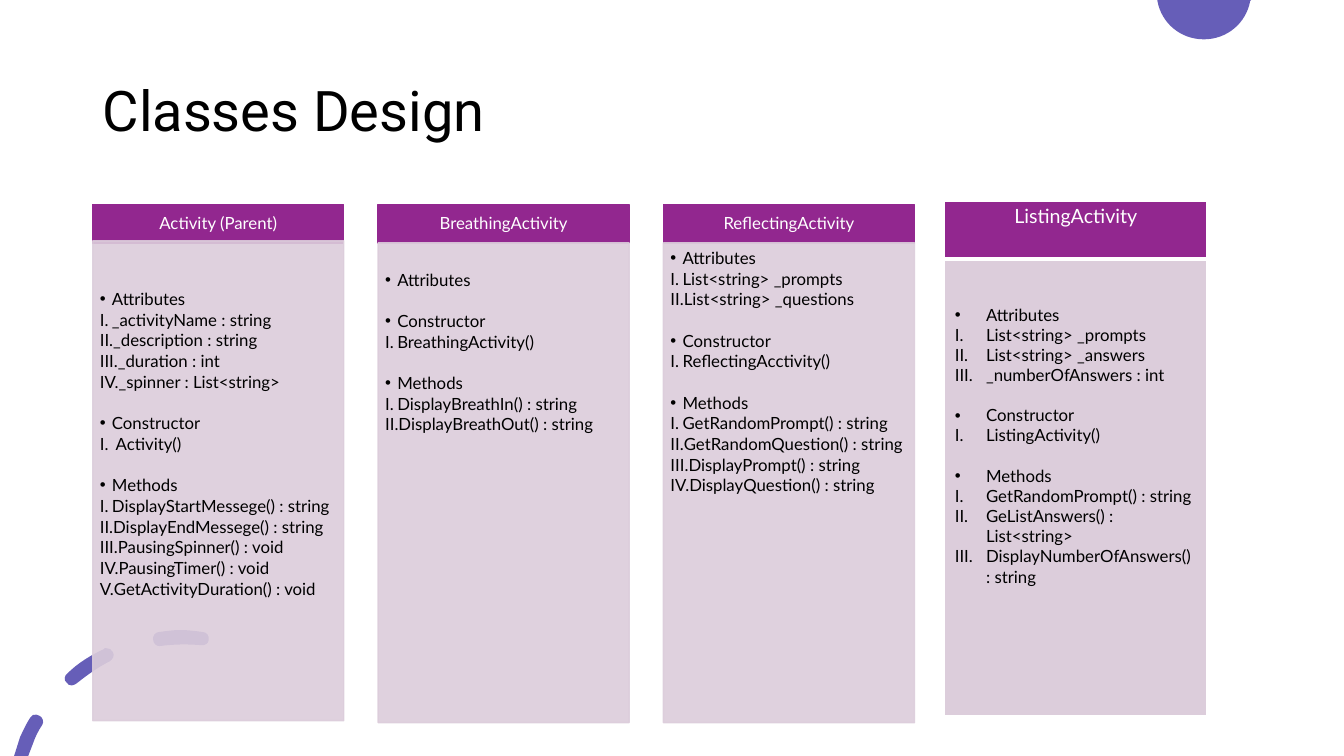
from dataclasses import dataclass
from typing import Any

from lxml.etree import SubElement
from pptx import Presentation
from pptx.dml.color import RGBColor
from pptx.enum.shapes import MSO_SHAPE
from pptx.enum.text import MSO_ANCHOR, PP_ALIGN
from pptx.oxml.ns import qn
from pptx.util import Inches, Pt

COLORS = {"accent": "665EB8", "header": "92278F", "body": "DCCDDB",
          "white": "FFFFFF", "black": "000000"}
CARD_LEFTS, CARD_WIDTH = (0.92, 3.75, 6.58), 2.49
CARD_LINE, TABLE_LINE = 14.76, 14.4  # line pitch in points
CARD_TOP_LINE = 15.4

Point = tuple[float, float]


@dataclass
class Section:
    heading: str
    members: list[str]


@dataclass
class ClassCard:
    name: str
    sections: list[Section]
    body_top: float = 2.41
    lines_above: int = 0


@dataclass
class Outline:
    """Start point, then segments: one point is a line, three are a cubic curve."""
    start: Point
    segments: list[list[Point]]


CARDS = [
    ClassCard("Activity (Parent)", [
        Section("Attributes", ["_activityName : string", "_description : string",
                               "_duration : int", "_spinner : List<string>"]),
        Section("Constructor", [" Activity()"]),
        Section("Methods", ["DisplayStartMessege() : string", "DisplayEndMessege() : string",
                            "PausingSpinner() : void", "PausingTimer() : void",
                            "GetActivityDuration() : void"]),
    ], body_top=2.39, lines_above=2),
    ClassCard("BreathingActivity", [
        Section("Attributes", []),
        Section("Constructor", ["BreathingActivity()"]),
        Section("Methods", ["DisplayBreathIn() : string", "DisplayBreathOut() : string"]),
    ], lines_above=1),
    ClassCard("ReflectingActivity", [
        Section("Attributes", ["List<string> _prompts", "List<string> _questions"]),
        Section("Constructor", ["ReflectingAcctivity()"]),
        Section("Methods", ["GetRandomPrompt() : string", "GetRandomQuestion() : string",
                            "DisplayPrompt() : string", "DisplayQuestion() : string"]),
    ]),
]
LISTING = ClassCard("ListingActivity", [
    Section("Attributes", ["List<string> _prompts", "List<string> _answers",
                           "_numberOfAnswers : int"]),
    Section("Constructor", ["ListingActivity()"]),
    Section("Methods", ["GetRandomPrompt() : string", "GeListAnswers() : List<string>",
                        "DisplayNumberOfAnswers() : string"]),
], lines_above=2)

CORNER_DISC = [Outline((11.48, 0), [
    [(12.41, 0)], [(12.4, 0.01)],
    [(12.36, 0.23), (12.17, 0.39), (11.94, 0.39)],
    [(11.71, 0.39), (11.52, 0.23), (11.48, 0.01)]])]
DASHED_ARC = [
    Outline((0.36, 7.09), [
        [(0.34, 7.08), (0.31, 7.1), (0.3, 7.12)], [(0.26, 7.18), (0.23, 7.25), (0.2, 7.31)],
        [(0.14, 7.5)], [(0.28, 7.5)], [(0.33, 7.37)],
        [(0.35, 7.31), (0.38, 7.25), (0.42, 7.19)], [(0.44, 7.16), (0.42, 7.11), (0.39, 7.1)],
        [(0.38, 7.09), (0.37, 7.09), (0.36, 7.09)]]),
    Outline((1.05, 6.43), [
        [(1.04, 6.43), (1.03, 6.43), (1.03, 6.44)], [(0.9, 6.5), (0.77, 6.58), (0.67, 6.68)],
        [(0.64, 6.7), (0.63, 6.75), (0.66, 6.77)], [(0.67, 6.79), (0.69, 6.8), (0.71, 6.8)],
        [(0.73, 6.8), (0.74, 6.79), (0.76, 6.78)], [(0.86, 6.7), (0.97, 6.62), (1.09, 6.56)],
        [(1.12, 6.54), (1.14, 6.5), (1.12, 6.47)], [(1.11, 6.44), (1.08, 6.43), (1.05, 6.43)]]),
    Outline((1.79, 6.25), [
        [(1.72, 6.25), (1.65, 6.26), (1.58, 6.27)], [(1.54, 6.27), (1.51, 6.31), (1.52, 6.35)],
        [(1.52, 6.38), (1.55, 6.41), (1.58, 6.41)], [(1.73, 6.39), (1.86, 6.39), (1.99, 6.4)],
        [(2.03, 6.41), (2.07, 6.38), (2.07, 6.35)], [(2.08, 6.31), (2.05, 6.27), (2.01, 6.27)],
        [(1.94, 6.26), (1.86, 6.25), (1.79, 6.25)]]),
]


def apply_format(target: Any, values: dict[str, Any]) -> None:
    for name, value in values.items():
        setattr(target, name, value)


def paint(fill: Any, color: str) -> None:
    fill.solid()
    fill.fore_color.rgb = RGBColor.from_string(COLORS[color])


def add_span(para: Any, text: str, size: float, color: str, font: str = "Lato") -> None:
    span = para.add_run()
    span.text = text
    apply_format(span.font, {"size": Pt(size), "name": font, "bold": False})
    span.font.color.rgb = RGBColor.from_string(COLORS[color])


def bend_segments(shape: Any, outlines: list[Outline]) -> None:
    """Turn the straight segments that have control points into cubic curves."""
    segments = [segment for outline in outlines for segment in outline.segments]
    lines = list(shape._element.iter(qn("a:lnTo")))
    for line, segment in zip(lines, segments, strict=True):
        if len(segment) == 3:
            curve = line.makeelement(qn("a:cubicBezTo"))
            for x, y in segment:
                SubElement(curve, qn("a:pt"), x=str(Inches(x) - shape.left),
                           y=str(Inches(y) - shape.top))
            line.getparent().replace(line, curve)


def add_ornament(page: Any, outlines: list[Outline]) -> None:
    builder = None
    for outline in outlines:
        x, y = map(Inches, outline.start)
        if builder is None:
            builder = page.shapes.build_freeform(x, y)
        else:
            builder.move_to(x, y)
        ends = [segment[-1] for segment in outline.segments]
        builder.add_line_segments([(Inches(px), Inches(py)) for px, py in ends],
                                  close=False)
    shape = builder.convert_to_shape()
    bend_segments(shape, outlines)
    shape.shadow.inherit = False
    paint(shape.fill, "accent")
    shape.line.fill.background()


def add_panel(page: Any, left: float, top: float, height: float, color: str,
              opacity: int = 100) -> Any:
    panel = page.shapes.add_shape(MSO_SHAPE.RECTANGLE, Inches(left), Inches(top),
                                  Inches(CARD_WIDTH), Inches(height))
    panel.shadow.inherit = False
    panel.line.width = Pt(1)
    for fill in (panel.fill, panel.line.fill):
        paint(fill, color)
    if opacity < 100:
        for tint in panel._element.spPr.iter(qn("a:srgbClr")):
            SubElement(tint, qn("a:alpha"), val=str(opacity * 1000))
    return panel


def write_name(para: Any, name: str, size: float) -> None:
    apply_format(para, {"alignment": PP_ALIGN.CENTER, "line_spacing": 0.9,
                        "space_after": Pt(0.35 * size)})
    add_span(para, name, size, "white")


def write_sections(frame: Any, sections: list[Section], indent: float, gap: float,
                   layout: dict[str, Any]) -> None:
    """List each heading with a bullet and its members with roman numerals."""
    para = None
    for index, section in enumerate(sections):
        for text in (section.heading, *section.members):
            para = frame.paragraphs[0] if para is None else frame.add_paragraph()
            is_heading = text == section.heading
            before = Pt(gap) if is_heading and index else Pt(0)
            apply_format(para, {"alignment": PP_ALIGN.LEFT, "space_before": before, **layout})
            properties = para._p.get_or_add_pPr()
            properties.set("marL", str(Inches(indent)))
            properties.set("indent", str(-Inches(indent)))
            if is_heading:
                SubElement(properties, qn("a:buFont"), typeface="Arial")
                SubElement(properties, qn("a:buChar"), char="•")
            else:
                SubElement(properties, qn("a:buAutoNum"), type="romanUcPeriod")
            add_span(para, text, 12, "black")


def add_card(page: Any, card: ClassCard, left: float) -> None:
    header = add_panel(page, left, 2.03, 0.38, "header")
    header.text_frame.word_wrap = True
    write_name(header.text_frame.paragraphs[0], card.name, 12)
    frame = add_panel(page, left, card.body_top, 4.76, "body", 90).text_frame
    apply_format(frame, {
        "word_wrap": True, "vertical_anchor": MSO_ANCHOR.TOP, "margin_left": Inches(0.07),
        "margin_top": Inches(0.07) + Pt(card.lines_above * CARD_TOP_LINE),
        "margin_right": Inches(0.09), "margin_bottom": Inches(0.1)})
    write_sections(frame, card.sections, 0.12, CARD_LINE,
                   {"level": 1, "line_spacing": 0.9, "space_after": Pt(1.8)})


def style_cell(cell: Any, color: str, bottom_width: float) -> None:
    properties = cell._tc.get_or_add_tcPr()
    for side, width in (("L", 1), ("R", 1), ("T", 1), ("B", bottom_width)):
        border = SubElement(properties, qn(f"a:ln{side}"), w=str(Pt(width)))
        SubElement(SubElement(border, qn("a:solidFill")), qn("a:srgbClr"), val=COLORS["white"])
    paint(cell.fill, color)


def add_listing_table(page: Any, card: ClassCard) -> None:
    table = page.shapes.add_table(2, 1, Inches(9.37), Inches(2), Inches(2.6), Inches(5.1)).table
    apply_format(table, {"first_row": True, "horz_banding": False})
    for row, height in zip(table.rows, (0.57, 4.53)):
        row.height = Inches(height)
    header, body = table.cell(0, 0), table.cell(1, 0)
    style_cell(header, "header", 3)
    style_cell(body, "body", 1)
    write_name(header.text_frame.paragraphs[0], card.name, 14)
    body.margin_top = Inches(0.05) + Pt(card.lines_above * TABLE_LINE)
    write_sections(body.text_frame, card.sections, 0.31, TABLE_LINE, {})


def add_title(page: Any, text: str) -> None:
    box = page.shapes.add_textbox(Inches(0.92), Inches(0.4), Inches(11.5), Inches(1.45))
    apply_format(box.text_frame, {"word_wrap": True, "vertical_anchor": MSO_ANCHOR.MIDDLE})
    para = box.text_frame.paragraphs[0]
    para.line_spacing = 0.9
    add_span(para, text, 40, "black", "Roboto")


def main() -> None:
    deck = Presentation()
    apply_format(deck, {"slide_width": Inches(13.33), "slide_height": Inches(7.5)})
    page = deck.slides.add_slide(deck.slide_layouts[6])
    for outlines in (CORNER_DISC, DASHED_ARC):
        add_ornament(page, outlines)
    add_title(page, "Classes Design")
    for card, left in zip(CARDS, CARD_LEFTS):
        add_card(page, card, left)
    add_listing_table(page, LISTING)
    deck.save("out.pptx")


if __name__ == "__main__":
    main()
